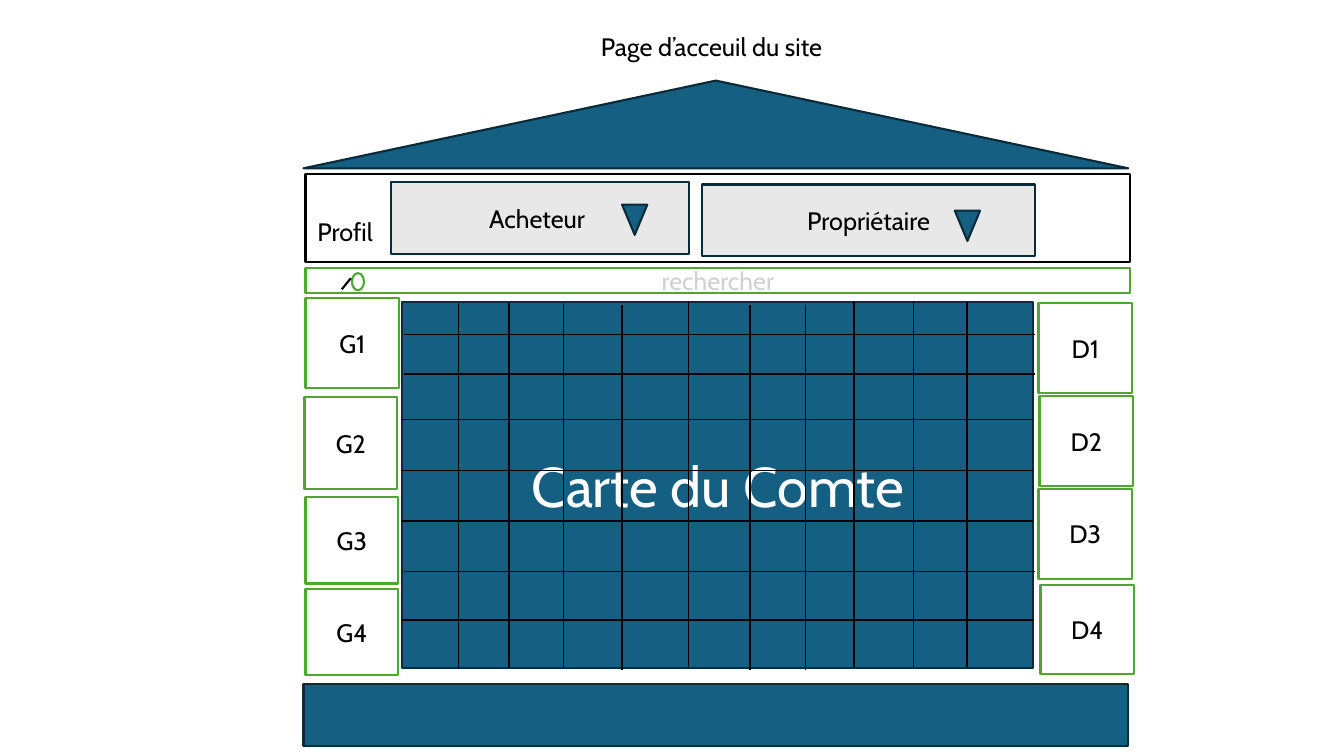
import lxml.etree
import pptx
import pptx.dml.color
import pptx.enum.shapes
import pptx.enum.text
import pptx.oxml.ns
import pptx.util

PX = 9144  # EMU in one px, 100 px to the inch
HUES = {"white": "FFFFFF", "black": "000000", "blue": "156082", "navy": "092A39",
        "gray": "E8E8E8", "green": "4EA72E", "hint": "D1D1D1"}
KIND = pptx.enum.shapes.MSO_SHAPE
ALIGN = pptx.enum.text.PP_ALIGN
ANCHOR = pptx.enum.text.MSO_ANCHOR

# Map grid: left edge of rows and top edge of columns vary slightly
COLS = [(455, 301), (505, 301), (559, 301), (617, 303), (683, 300), (744, 303),
        (799, 303), (847, 300), (906, 300), (959, 300)]
ROWS = [(401, 332), (401, 371), (399, 416), (399, 467), (399, 517), (401, 567),
        (399, 615)]
WIDE, TALL = 626, 362

TILES = {"G1": (303, 296, 93, 89), "G2": (302, 394, 92, 91),
         "G3": (303, 493, 92, 86), "G4": (303, 584, 92, 86),
         "D1": (1030, 301, 93, 89), "D2": (1031, 393, 93, 89),
         "D3": (1030, 485, 93, 89), "D4": (1032, 580, 93, 89)}


def emu(*sizes):
    return [pptx.util.Emu(size * PX) for size in sizes]


def hue(name):
    return pptx.dml.color.RGBColor.from_string(HUES[name])


def write(frame, text, size=18, color="black", align=ALIGN.CENTER,
          anchor=ANCHOR.MIDDLE):
    layout = {"word_wrap": True, "vertical_anchor": anchor}
    for name, value in layout.items():
        setattr(frame, name, value)
    para = frame.paragraphs[0]
    para.alignment = align
    run = para.add_run()
    run.text = text
    style = {"name": "Cabin", "size": pptx.util.Pt(size), "bold": False}
    for name, value in style.items():
        setattr(run.font, name, value)
    run.font.color.rgb = hue(color)


def stroke(line, color, width):
    line.color.rgb = hue(color)
    line.width = pptx.util.Pt(width)


def block(slide, box, fill, edge, kind=KIND.RECTANGLE, turn=0):
    shape = slide.shapes.add_shape(kind, *emu(*box))
    shape.shadow.inherit = False
    shape.rotation = turn
    shape.fill.solid()
    shape.fill.fore_color.rgb = hue(fill)
    stroke(shape.line, edge, 1.5)
    return shape


def label(slide, box, fill, edge, text, **style):
    """Draw a rectangle with centred text."""
    write(block(slide, box, fill, edge).text_frame, text, **style)


def rule(slide, ends, width=1):
    line = slide.shapes.add_connector(
        pptx.enum.shapes.MSO_CONNECTOR.STRAIGHT, *emu(*ends))
    stroke(line.line, "black", width)
    lxml.etree.SubElement(line._element.spPr, pptx.oxml.ns.qn("a:effectLst"))


def head(slide):
    title = slide.shapes.title
    place = dict(zip(("left", "top", "width", "height"), emu(586, 26, 261, 40)))
    for name, value in place.items():
        setattr(title, name, value)
    write(title.text_frame, "Page d’acceuil du site", align=ALIGN.LEFT,
          anchor=ANCHOR.TOP)


def menu(slide):
    block(slide, (303, 173, 818, 87), "white", "black")
    label(slide, (388, 181, 295, 71), "gray", "navy", "Acheteur ")
    label(slide, (696, 183, 331, 71), "gray", "navy", "Propriétaire")
    for left, top in ((617, 203), (947, 209)):
        block(slide, (left, top, 25, 30), "blue", "navy",
              KIND.ISOSCELES_TRIANGLE, 180)
    note = slide.shapes.add_textbox(*emu(305, 210, 81, 40))
    write(note.text_frame, "Profil", align=ALIGN.LEFT, anchor=ANCHOR.TOP)


def search(slide):
    label(slide, (303, 266, 818, 25), "white", "green", "rechercher", color="hint")
    block(slide, (349, 271, 12, 17), "white", "green", KIND.OVAL)
    rule(slide, (348, 276, 339, 287), 1.5)


def chart(slide):
    """Draw the county map with its grid."""
    label(slide, (399, 300, 626, 363), "blue", "navy", "Carte du Comte",
          size=40, color="white")
    for x, top in COLS:
        rule(slide, (x, top, x, top + TALL))
    for left, y in ROWS:
        rule(slide, (left, y, left + WIDE, y))


def main():
    deck = pptx.Presentation()
    deck.slide_width, deck.slide_height = emu(1333, 750)
    slide = deck.slides.add_slide(deck.slide_layouts.get_by_name("Title Only"))
    head(slide)
    block(slide, (301, 80, 818, 87), "blue", "navy", KIND.ISOSCELES_TRIANGLE)
    menu(slide)
    search(slide)
    chart(slide)
    for text, box in TILES.items():
        label(slide, box, "white", "green", text)
    block(slide, (301, 679, 818, 61), "blue", "navy")
    deck.save("out.pptx")


if __name__ == "__main__":
    main()
